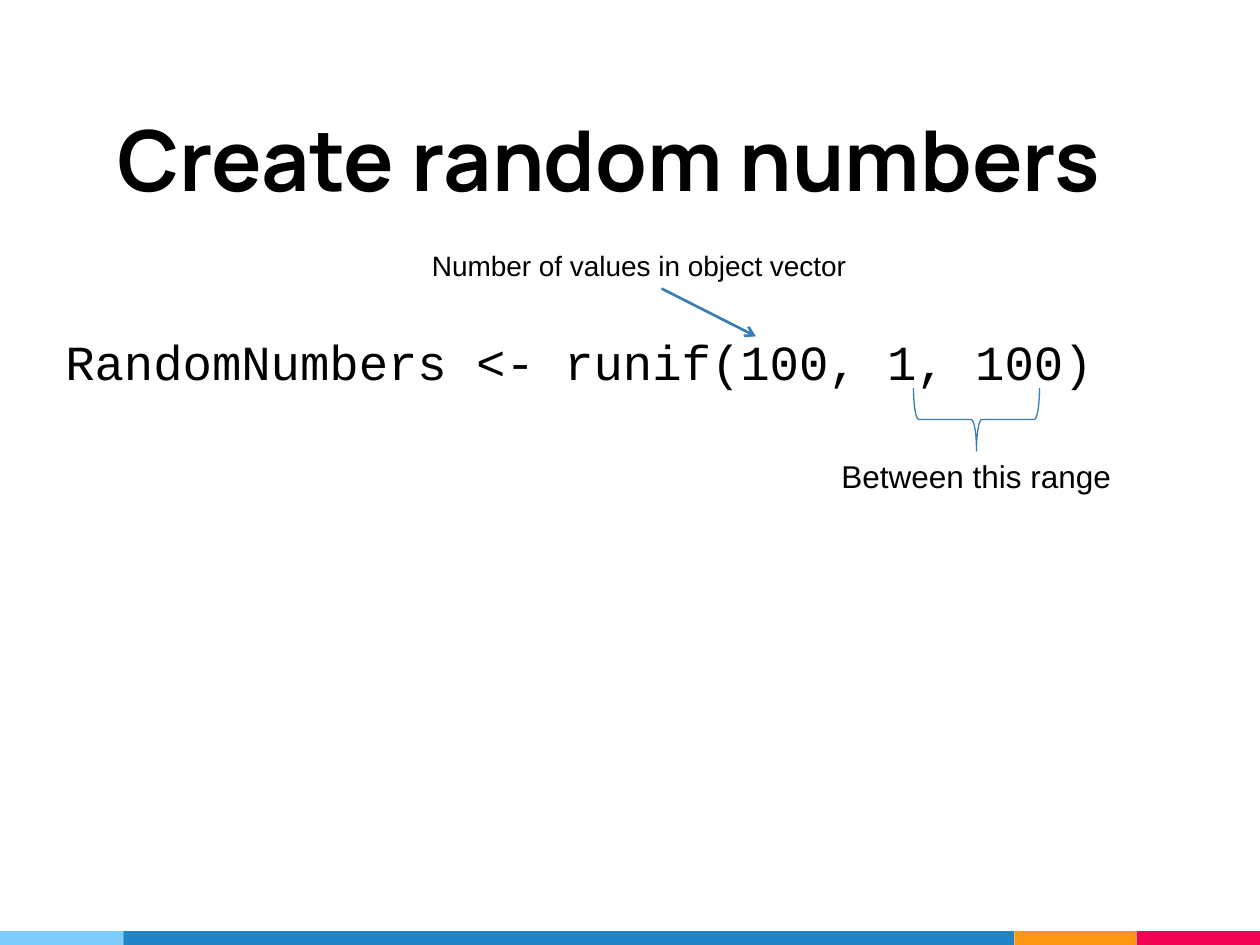
"""Build the slide that explains how runif creates random numbers."""
import pptx
import pptx.util
import pptx.dml.color
import pptx.enum.shapes
import pptx.enum.text
import pptx.oxml
import pptx.oxml.ns

Inches = pptx.util.Inches
Pt = pptx.util.Pt
SHAPES = pptx.enum.shapes.MSO_SHAPE
COLORS = {
    "text": "000000",
    "accent": "367EB9",
    "sky": "7ECEFD",
    "blue": "2185C5",
    "orange": "FF9715",
    "red": "F20253",
}
FORMATS = {
    "title": {"name": "Manrope", "size": Pt(48), "bold": True},
    "code": {"name": "Courier New", "size": Pt(28)},
    "count": {"name": "Arial", "size": Pt(16)},
    "range": {"name": "Arial", "size": Pt(18)},
}


def rgb(color):
    """Return the named colour."""
    return pptx.dml.color.RGBColor.from_string(COLORS[color])


def write(frame, text, style):
    """Put left-aligned text in a frame with the named format."""
    frame.word_wrap = True
    frame.text = text
    paragraph = frame.paragraphs[0]
    paragraph.alignment = pptx.enum.text.PP_ALIGN.LEFT
    font = paragraph.runs[0].font
    for attribute, value in FORMATS[style].items():
        setattr(font, attribute, value)
    font.color.rgb = rgb("text")


def add_footer_bar(slide, left, top, width, height):
    """Fill the box with a row of coloured bands."""
    bands = {"sky": 0.98, "blue": 7.07, "orange": 0.97, "red": 0.98}
    total = sum(bands.values())
    for color, share in bands.items():
        band_width = width * share / total
        band = slide.shapes.add_shape(
            SHAPES.RECTANGLE, Inches(left), Inches(top), Inches(band_width), Inches(height))
        band.shadow.inherit = False
        band.fill.solid()
        band.fill.fore_color.rgb = rgb(color)
        band.line.fill.background()
        left += band_width


def add_title(slide, left, top, width, height):
    """Place the title placeholder in the box."""
    title = slide.shapes.title
    box = {"left": left, "top": top, "width": width, "height": height}
    for attribute, value in box.items():
        setattr(title, attribute, Inches(value))
    frame = title.text_frame
    for side in ("left", "top", "right", "bottom"):
        setattr(frame, f"margin_{side}", Inches(0.1))
    frame.vertical_anchor = pptx.enum.text.MSO_ANCHOR.BOTTOM
    frame.auto_size = pptx.enum.text.MSO_AUTO_SIZE.NONE
    write(frame, "Create random numbers", "title")


def add_label(slide, text, style, left, top, width, height):
    """Add a text box that grows with its text."""
    label = slide.shapes.add_textbox(Inches(left), Inches(top), Inches(width), Inches(height))
    write(label.text_frame, text, style)
    label.text_frame.auto_size = pptx.enum.text.MSO_AUTO_SIZE.SHAPE_TO_FIT_TEXT


def add_arrow(slide, left, top, width, height):
    """Draw an arrow from the upper left to the lower right of the box."""
    arrow = slide.shapes.add_connector(
        pptx.enum.shapes.MSO_CONNECTOR.STRAIGHT,
        Inches(left), Inches(top), Inches(left + width), Inches(top + height))
    arrow.line.color.rgb = rgb("accent")
    arrow.line.width = Pt(1.5)
    namespace = pptx.oxml.ns.nsdecls("a")
    arrow.line._get_or_add_ln().append(
        pptx.oxml.parse_xml(f'<a:tailEnd {namespace} type="arrow"/>'))
    arrow._element.spPr.append(pptx.oxml.parse_xml(f"<a:effectLst {namespace}/>"))


def add_brace(slide, left, top, width, height):
    """Draw a brace that opens upwards and fills the box."""
    brace = slide.shapes.add_shape(
        SHAPES.RIGHT_BRACE,
        Inches(left + (width - height) / 2), Inches(top + (height - width) / 2),
        Inches(height), Inches(width))
    brace.rotation = 90
    brace.shadow.inherit = False
    brace.fill.background()
    brace.line.color.rgb = rgb("accent")
    brace.line.width = Pt(0.75)


def add_explained_code(slide, left, top, width):
    """Place the code line with its two annotations."""
    add_label(slide, "RandomNumbers <- runif(100, 1, 100)", "code",
              left, top + 0.66, width, 0.57)
    add_label(slide, "Number of values in object vector", "count",
              left + 2.91, top, 3.83, 0.37)
    add_label(slide, "Between this range", "range", left + 6.16, top + 1.66, 2.92, 0.4)
    add_arrow(slide, left + 4.83, top + 0.37, 0.75, 0.38)
    add_brace(slide, left + 6.83, top + 1.16, 1, 0.5)


def main():
    """Build and save the presentation."""
    deck = pptx.Presentation()
    deck.slide_width, deck.slide_height = Inches(10), Inches(7.5)
    slide = deck.slides.add_slide(deck.slide_layouts[5])
    add_footer_bar(slide, 0, 7.39, 10, 0.11)
    add_title(slide, 0.83, 0.5, 8.34, 1.25)
    add_explained_code(slide, 0.42, 1.92, 8.83)
    deck.save("out.pptx")


if __name__ == "__main__":
    main()
